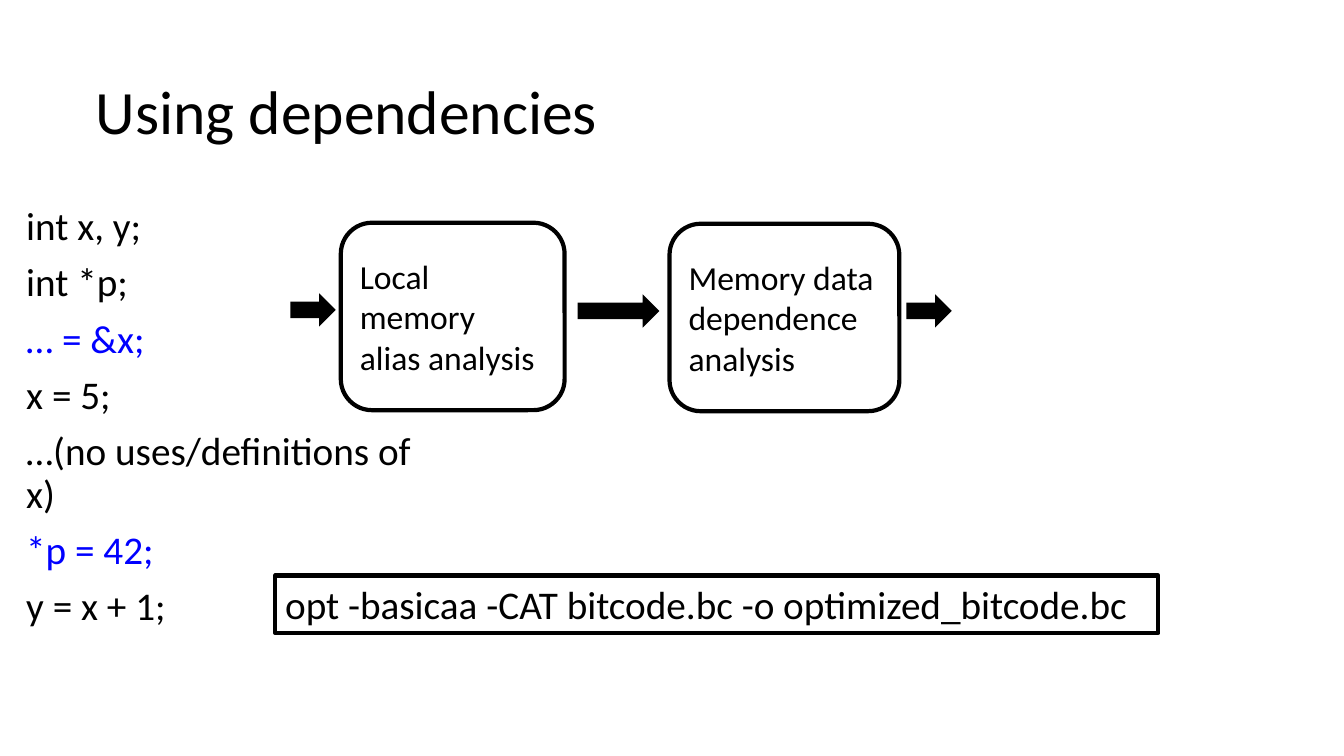
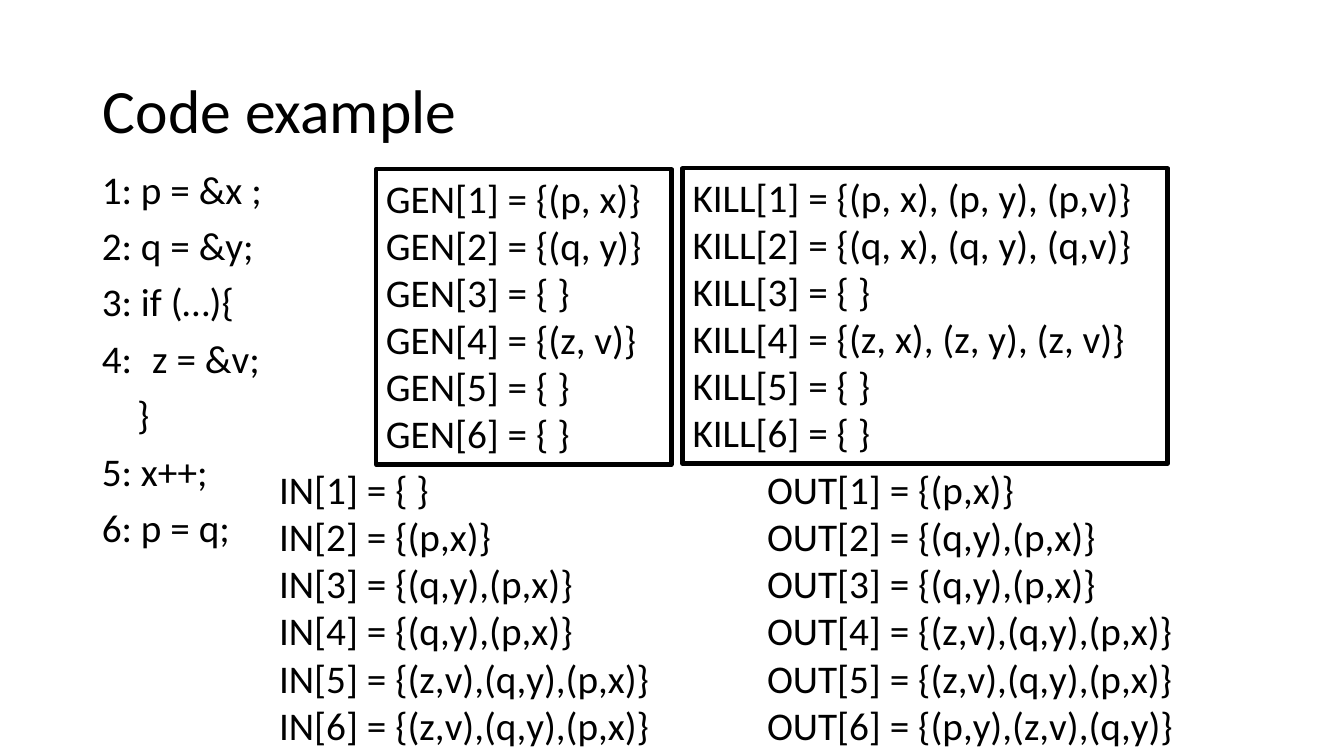
from dataclasses import dataclass

from lxml.etree import SubElement
from pptx import Presentation
from pptx.dml.color import RGBColor
from pptx.enum.shapes import MSO_SHAPE as Preset
from pptx.enum.text import MSO_ANCHOR as Anchor, MSO_AUTO_SIZE as AutoSize, PP_ALIGN as Align
from pptx.oxml.ns import qn
from pptx.util import Inches, Pt


@dataclass(frozen=True)
class Theme:
    """Colours, font and type sizes of both slides."""
    font: str = "Calibri"
    ink: RGBColor = RGBColor(0, 0, 0)
    accent: RGBColor = RGBColor(0, 0, 255)
    title: int = 44
    code: int = 28
    label: int = 24
    outline: int = 3


theme = Theme()


def write_text(shape, lines, *, size=theme.code, anchor=Anchor.TOP, spacing=1.0,
               before=0, accented=(), plain_list=False, indents=None, tab=None):
    """Write lines as left-aligned paragraphs in the given format."""
    frame = shape.text_frame
    frame.text = "\n".join(lines)
    frame.word_wrap = True
    frame.auto_size = AutoSize.NONE
    frame.vertical_anchor = anchor
    for line, paragraph in zip(lines, frame.paragraphs):
        paragraph.alignment = Align.LEFT
        paragraph.line_spacing = spacing
        paragraph.space_before = Pt(before)
        for run in paragraph.runs:
            run.font.name = theme.font
            run.font.size = Pt(size)
            run.font.color.rgb = theme.accent if line in accented else theme.ink
        if plain_list:
            properties = paragraph._p.get_or_add_pPr()
            properties.set("marL", str(Inches((indents or {}).get(line, 0))))
            properties.set("indent", "0")
            SubElement(properties, qn("a:buNone"))
            if tab and "\t" in line:
                stops = SubElement(properties, qn("a:tabLst"))
                SubElement(stops, qn("a:tab"), pos=str(Inches(tab)), algn="l")


def add_shape(slide, preset, left, top, width, height, *, filled=False):
    """Add a solid shape, or an outlined one without fill."""
    shape = slide.shapes.add_shape(
        preset, Inches(left), Inches(top), Inches(width), Inches(height))
    shape.shadow.inherit = False
    if filled:
        shape.fill.solid()
        shape.fill.fore_color.rgb = theme.ink
        shape.line.fill.background()
    else:
        shape.fill.background()
        shape.line.color.rgb = theme.ink
        shape.line.width = Pt(theme.outline)
    return shape


presentation = Presentation()
presentation.slide_width = Inches(13.33)
presentation.slide_height = Inches(7.5)

# Title and code list of each slide
pages = [
    dict(title="Using dependencies", title_at=(0.85, 0.41), code_at=(0.16, 2, 4.33, 4.76),
         code=["int x, y;", "int *p;", "… = &x;", "x = 5;",
               "…(no uses/definitions of x)", "*p = 42;", "y = x + 1;"]),
    dict(title="Code example", title_at=(0.92, 0.4), code_at=(0.91, 1.64, 2.43, 4.76),
         code=["1: p = &x ;", "2: q = &y;", "3: if (…){", "4:\tz = &v;",
               "}", "5: x++;", "6: p = q;"]),
]
slides = []
for page in pages:
    slide = presentation.slides.add_slide(presentation.slide_layouts[1])
    title, code = slide.placeholders
    for placeholder, place in ((title, (*page["title_at"], 11.5, 1.45)),
                               (code, page["code_at"])):
        (placeholder.left, placeholder.top,
         placeholder.width, placeholder.height) = map(Inches, place)
    write_text(title, [page["title"]], size=theme.title, anchor=Anchor.MIDDLE, spacing=0.9)
    write_text(code, page["code"], spacing=0.9, before=10, plain_list=True,
               accented=("… = &x;", "*p = 42;"), indents={"}": 0.35}, tab=0.56)
    slides.append(slide)
dependencies, example = slides

# Analysis pipeline
for left, top, width, lines in (
        (3.38, 2.21, 2.22, ["Local\vmemory", "alias analysis"]),
        (6.64, 2.22, 2.28, ["Memory data dependence analysis"])):
    stage = add_shape(dependencies, Preset.ROUNDED_RECTANGLE, left, top, width, 1.86)
    write_text(stage, lines, size=theme.label, anchor=Anchor.MIDDLE)
for left, top, width in ((2.88, 2.91, 0.45), (5.73, 2.92, 0.81), (8.99, 2.92, 0.45)):
    add_shape(dependencies, Preset.RIGHT_ARROW, left, top, width, 0.33, filled=True)
command = add_shape(dependencies, Preset.RECTANGLE, 2.73, 5.71, 8.76, 0.57)
write_text(command, ["opt -basicaa -CAT bitcode.bc -o optimized_bitcode.bc"])

# Data-flow sets, one entry per numbered statement
empty = " "
before_branch = "(q,y),(p,x)"
after_branch = "(z,v),(q,y),(p,x)"
set_height = 2.93
data_flow = [
    ("GEN", 3.73, 1.68, 2.93, True,
     ["(p, x)", "(q, y)", empty, "(z, v)", empty, empty]),
    ("KILL", 6.77, 1.67, 4.81, True,
     ["(p, x), (p, y), (p,v)", "(q, x), (q, y), (q,v)", empty,
      "(z, x), (z, y), (z, v)", empty, empty]),
    ("IN", 2.67, 4.57, 4.04, False,
     [empty, "(p,x)", before_branch, before_branch, after_branch, after_branch]),
    ("OUT", 7.51, 4.57, 4.44, False,
     ["(p,x)", before_branch, before_branch, after_branch, after_branch,
      "(p,y),(z,v),(q,y)"]),
]
for name, left, top, width, boxed, entries in data_flow:
    if boxed:
        panel = add_shape(example, Preset.RECTANGLE, left, top, width, set_height)
    else:
        panel = example.shapes.add_textbox(
            Inches(left), Inches(top), Inches(width), Inches(set_height))
    write_text(panel, [f"{name}[{number}] = {{{entry}}}"
                       for number, entry in enumerate(entries, start=1)])

presentation.save("out.pptx")
